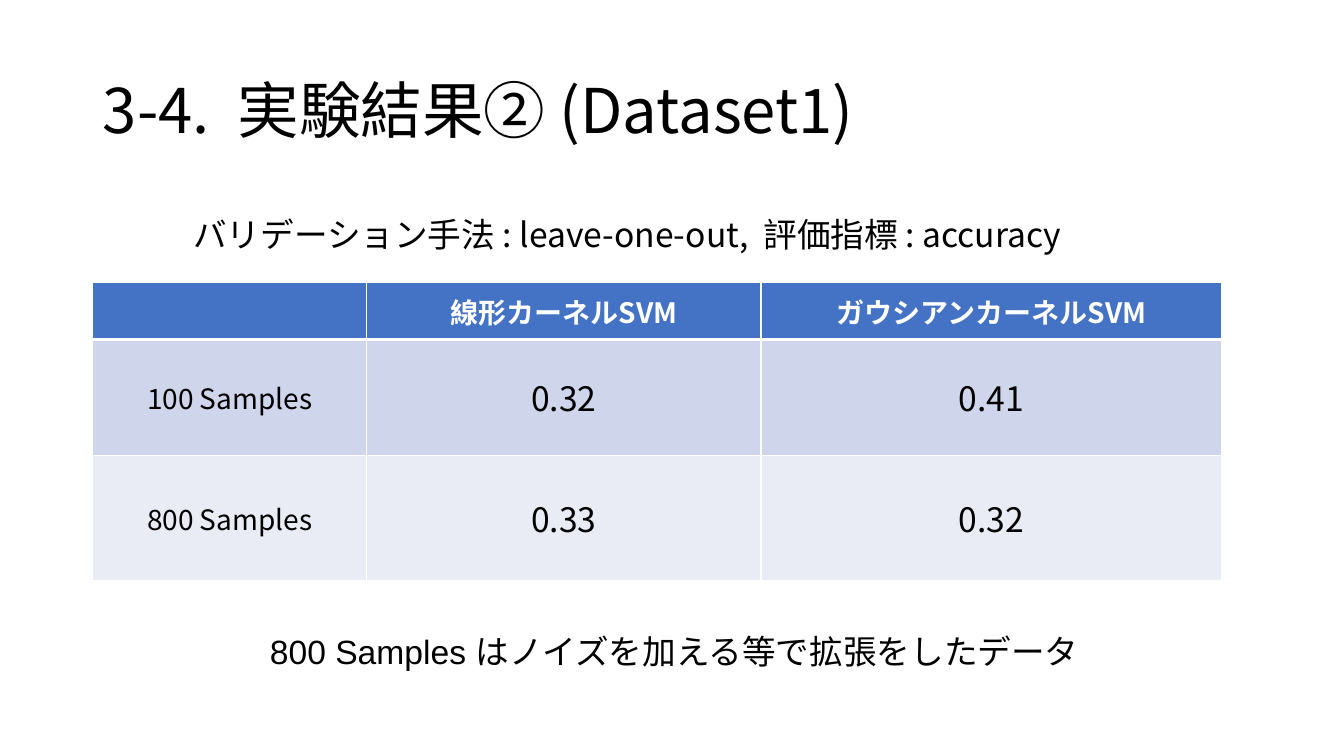
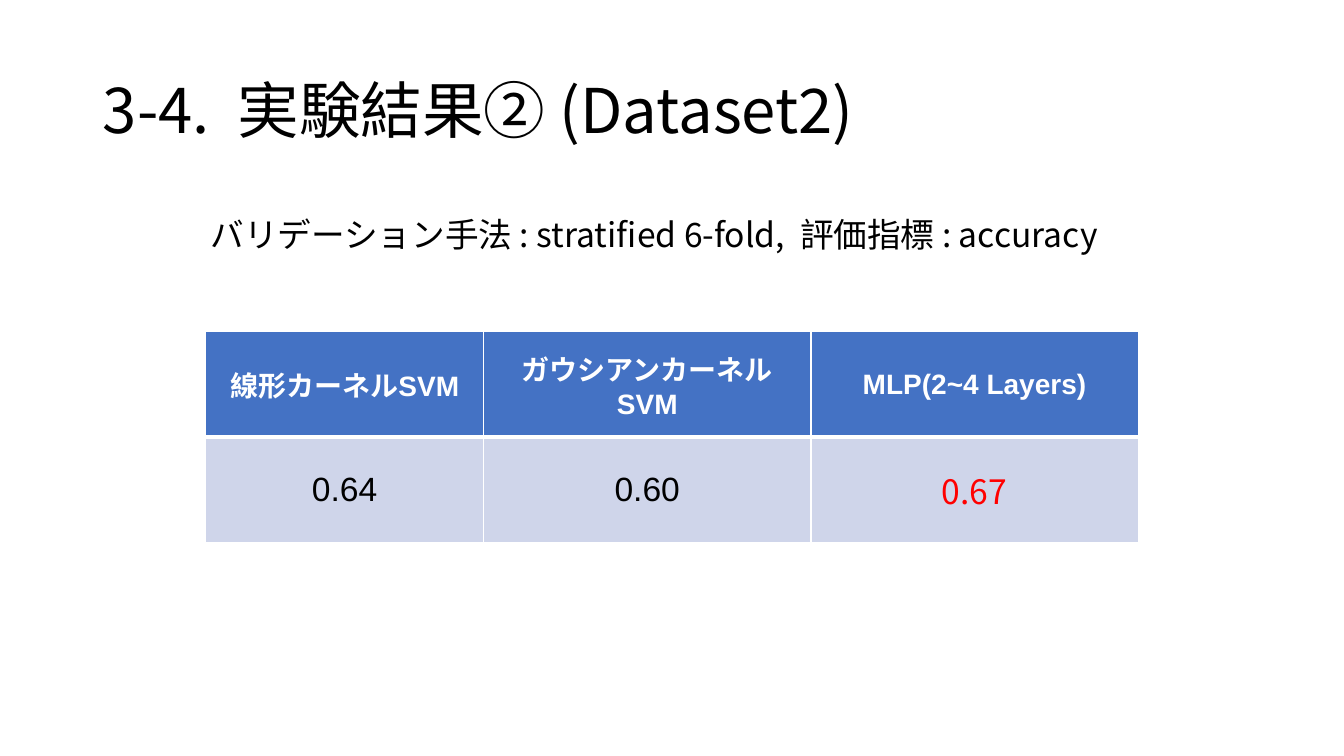
import pptx
import pptx.util
import pptx.dml.color
import pptx.enum.text
import pptx.oxml
import pptx.oxml.ns
import lxml.etree

RGBColor = pptx.dml.color.RGBColor
PP_ALIGN = pptx.enum.text.PP_ALIGN
MIDDLE = pptx.enum.text.MSO_ANCHOR.MIDDLE
qn = pptx.oxml.ns.qn

BLACK = RGBColor(0x00, 0x00, 0x00)
WHITE = RGBColor(0xFF, 0xFF, 0xFF)
RED = RGBColor(0xFF, 0x00, 0x00)
HEADER = RGBColor(0x44, 0x72, 0xC4)
BANDS = (RGBColor(0xCF, 0xD5, 0xEA), RGBColor(0xE9, 0xEB, 0xF5))
NOTO = "Noto Sans CJK JP"
ARIAL = "Arial"

prs = pptx.Presentation()
prs.slide_width = pptx.util.Inches(13.33)
prs.slide_height = pptx.util.Inches(7.5)


def box(x, y, w, h):
    """Turn percentages of the slide's size into lengths."""
    return [int(share * size / 100) for share, size in
            zip((x, y, w, h), (prs.slide_width, prs.slide_height) * 2)]


def write(tf, text, size, font=NOTO, color=BLACK, bold=False, align=PP_ALIGN.LEFT):
    """Fill a text frame and format all of its runs."""
    tf.text = text
    for p in tf.paragraphs:
        p.alignment = align
        for r in p.runs:
            r.font.size = pptx.util.Pt(size)
            r.font.name = font
            r.font.bold = bold
            r.font.color.rgb = color
            ea = lxml.etree.Element(qn("a:ea"), typeface=NOTO)
            r.font._element.find(qn("a:latin")).addnext(ea)


def add_titled_slide(title):
    """Add a title-only slide with its title at the top left."""
    s = prs.slides.add_slide(prs.slide_layouts[5])
    sp = s.shapes.title
    sp.left, sp.top, sp.width, sp.height = box(6.9, 5.33, 86.25, 19.33)
    tf = sp.text_frame
    write(tf, title, 44)
    tf.vertical_anchor = MIDDLE
    tf.paragraphs[0].line_spacing = 0.9
    return s


def add_line(s, area, text, font=NOTO, wrap=False):
    """Place one line of body text in the area."""
    tf = s.shapes.add_textbox(*area).text_frame
    tf.word_wrap = wrap
    tf.auto_size = pptx.enum.text.MSO_AUTO_SIZE.SHAPE_TO_FIT_TEXT
    write(tf, text, 24, font)


def set_borders(cell, bottom):
    """Draw white cell borders, the bottom one with its own width."""
    tc_pr = cell._tc.get_or_add_tcPr()
    for i, (side, width) in enumerate(zip("LRTB", (1, 1, 1, bottom))):
        ln = pptx.oxml.parse_xml(
            f'<a:ln{side} {pptx.oxml.ns.nsdecls("a")} w="{pptx.util.Pt(width)}">'
            f'<a:solidFill><a:srgbClr val="{WHITE}"/></a:solidFill></a:ln{side}>')
        tc_pr.insert(i, ln)


def add_results(s, area, cols, rows, cells, font, labels=0, best=None):
    """Fill the area with a banded table; cols and rows are relative sizes."""
    table = s.shapes.add_table(len(rows), len(cols), *area).table
    for lines, sizes, total, side in ((table.columns, cols, area[2], "width"),
                                      (table.rows, rows, area[3], "height")):
        for line, size in zip(lines, sizes):
            setattr(line, side, int(total * size / sum(sizes)))
    for i, row in enumerate(cells):
        head = i == 0
        for j, text in enumerate(row):
            cell = table.cell(i, j)
            cell.fill.solid()
            cell.fill.fore_color.rgb = HEADER if head else BANDS[(i - 1) % 2]
            cell.vertical_anchor = MIDDLE
            set_borders(cell, 3 if head else 1)
            marked = (i, j) == best
            color = WHITE if head else RED if marked else BLACK
            write(cell.text_frame, text, 20 if head or j < labels else 24,
                  NOTO if marked else font, color, head, PP_ALIGN.CENTER)


def build_dataset1():
    """Compare two kernels on two sample sizes."""
    s = add_titled_slide("3-4.  実験結果② (Dataset1)")
    add_line(s, box(13.65, 27.6, 68.5, 6.67),
             "バリデーション手法 : leave-one-out,  評価指標 : accuracy")
    add_results(s, box(6.9, 37.33, 84, 39.5), (2.72, 3.91, 4.57), (0.57, 1.15, 1.25),
                (("", "線形カーネルSVM", "ガウシアンカーネルSVM"),
                 ("100 Samples", "0.32", "0.41"),
                 ("800 Samples", "0.33", "0.32")), NOTO, labels=1)
    add_line(s, box(19.35, 82.8, 80.6, 6.67),
             "800 Samples はノイズを加える等で拡張をしたデータ", ARIAL, wrap=True)


def build_dataset2():
    """Compare three models and mark the best."""
    s = add_titled_slide("3-4.  実験結果② (Dataset2)")
    add_line(s, box(14.93, 27.6, 70.2, 6.67),
             "バリデーション手法 : stratified 6-fold,  評価指標 : accuracy")
    add_results(s, box(15.3, 43.87, 69.4, 27.87), (2.76, 3.25, 3.25), (1, 1),
                (("線形カーネルSVM", "ガウシアンカーネル\nSVM", "MLP(2~4 Layers)"),
                 ("0.64", "0.60", "0.67")), ARIAL, best=(1, 2))


build_dataset1()
build_dataset2()
prs.save("out.pptx")
